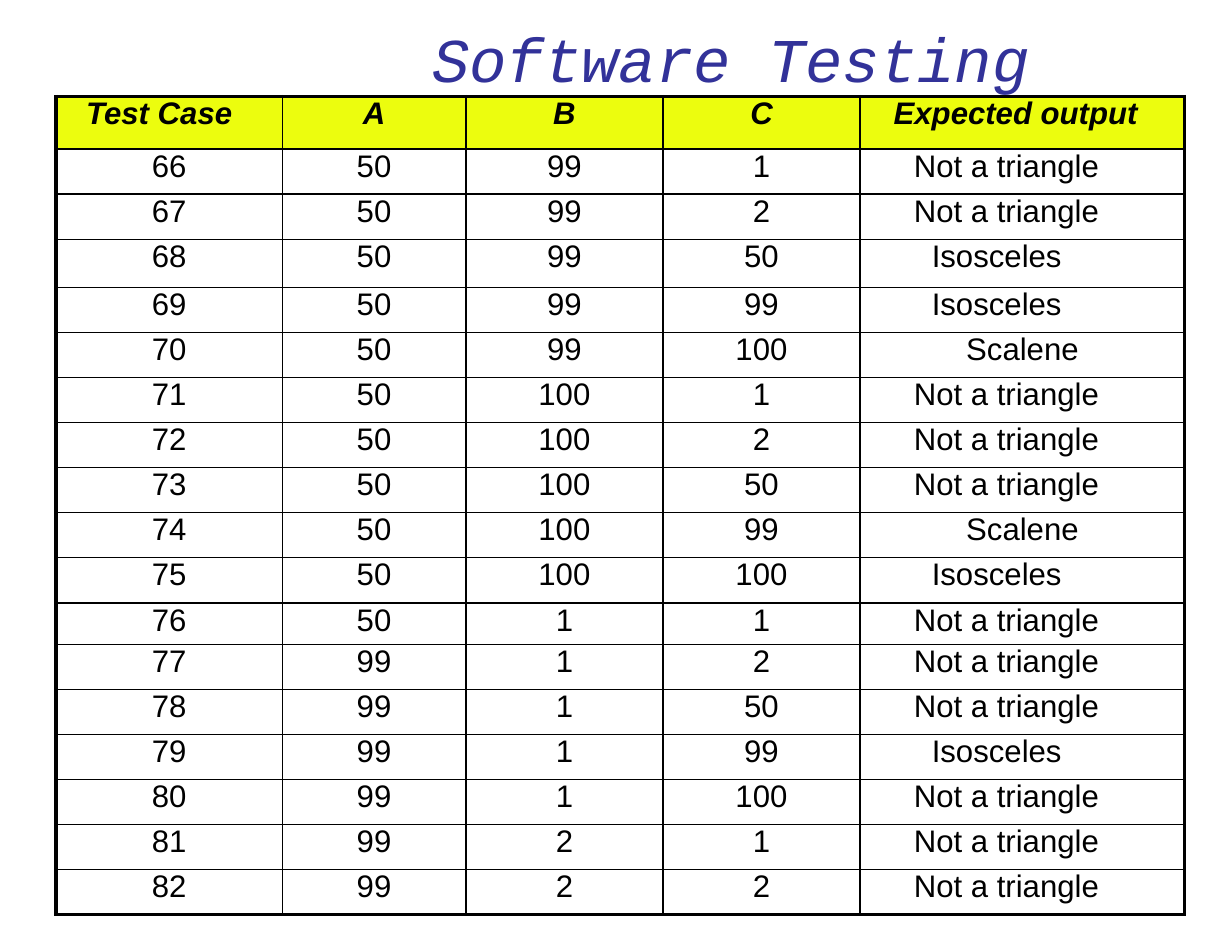
import dataclasses

import lxml.etree
import pptx
import pptx.dml.color
import pptx.enum.text
import pptx.oxml.ns
import pptx.util

ALIGN = pptx.enum.text.PP_ALIGN


@dataclasses.dataclass(frozen=True)
class Theme:
    """Colours, fonts and point sizes of the slide."""
    title_color: str = "323299"
    text_color: str = "000000"
    header_fill: str = "ECFD0E"
    title_font: str = "Courier New"
    table_font: str = "Arial"
    title_size: float = 40
    table_size: float = 20
    frame_line: float = 2.25
    grid_line: float = 1


THEME = Theme()
SLIDE_SIZE = (11, 8.5)
TITLE_BOX = (0.96, -0.05, 9.16, 0.91)
TABLE_BOX = (0.5, 0.86, 10.08, 7.31)
TITLE_INDENT = 2.9
COLUMN_SHARES = (2.02, 1.64, 1.76, 1.76, 2.9)
ROW_SHARES = {0: 1.17, 3: 1.07, 11: 0.92}
INDENTS = {"Test Case": 0.27, "Expected output": 0.3, "Not a triangle": 0.48, "Isosceles": 0.64}

HEADINGS = ("Test Case", "A", "B", "C", "Expected output")
FIRST_CASE = 66
CASES = (
    (50, 99, 1, "Not a triangle"),
    (50, 99, 2, "Not a triangle"),
    (50, 99, 50, "Isosceles"),
    (50, 99, 99, "Isosceles"),
    (50, 99, 100, "Scalene"),
    (50, 100, 1, "Not a triangle"),
    (50, 100, 2, "Not a triangle"),
    (50, 100, 50, "Not a triangle"),
    (50, 100, 99, "Scalene"),
    (50, 100, 100, "Isosceles"),
    (50, 1, 1, "Not a triangle"),
    (99, 1, 2, "Not a triangle"),
    (99, 1, 50, "Not a triangle"),
    (99, 1, 99, "Isosceles"),
    (99, 1, 100, "Not a triangle"),
    (99, 2, 1, "Not a triangle"),
    (99, 2, 2, "Not a triangle"),
)


def rgb(color):
    """Return a colour object for a hex string."""
    return pptx.dml.color.RGBColor.from_string(color)


def style_paragraph(paragraph, font, size, color, bold=False, italic=False, indent=None):
    """Set the font, and align left at the indent or centre without one."""
    paragraph.alignment = ALIGN.CENTER if indent is None else ALIGN.LEFT
    if indent is not None:
        properties = paragraph._p.get_or_add_pPr()
        properties.set("marL", str(pptx.util.Inches(indent)))
        properties.set("indent", "0")
    paragraph.font.name = font
    paragraph.font.size = pptx.util.Pt(size)
    paragraph.font.color.rgb = rgb(color)
    paragraph.font.bold = bold
    paragraph.font.italic = italic


def add_title(slide, box):
    """Place and format the slide title in the box."""
    title = slide.shapes.title
    title.left, title.top, title.width, title.height = map(pptx.util.Inches, box)
    frame = title.text_frame
    frame.text = "Software Testing"
    frame.word_wrap = True
    frame.auto_size = pptx.enum.text.MSO_AUTO_SIZE.NONE
    frame.vertical_anchor = pptx.enum.text.MSO_ANCHOR.TOP
    frame.margin_left = frame.margin_right = frame.margin_bottom = 0
    frame.margin_top = pptx.util.Inches(0.23)
    style_paragraph(frame.paragraphs[0], THEME.title_font, THEME.title_size,
                    THEME.title_color, italic=True, indent=TITLE_INDENT)


def set_borders(cell, on_frame):
    """Draw the four cell edges, heavier where an edge lies on the table frame."""
    properties = cell._tc.get_or_add_tcPr()
    for edge, outer in on_frame.items():
        width = pptx.util.Pt(THEME.frame_line if outer else THEME.grid_line)
        line = lxml.etree.SubElement(properties, pptx.oxml.ns.qn(f"a:ln{edge}"), w=str(width))
        fill = lxml.etree.SubElement(line, pptx.oxml.ns.qn("a:solidFill"))
        lxml.etree.SubElement(fill, pptx.oxml.ns.qn("a:srgbClr"), val=THEME.text_color)


def fill_cell(cell, text, is_header, on_frame):
    """Write and format one table cell."""
    cell.text = text
    cell.margin_left = cell.margin_right = cell.margin_top = cell.margin_bottom = 0
    set_borders(cell, on_frame)
    if is_header:
        cell.fill.solid()
        cell.fill.fore_color.rgb = rgb(THEME.header_fill)
    else:
        cell.fill.background()
    style_paragraph(cell.text_frame.paragraphs[0], THEME.table_font, THEME.table_size,
                    THEME.text_color, is_header, is_header, INDENTS.get(text))


def add_case_table(slide, box):
    """Build the table of test cases within the box."""
    rows = [HEADINGS] + [(number, *case) for number, case in enumerate(CASES, FIRST_CASE)]
    last_row, last_column = len(rows) - 1, len(HEADINGS) - 1
    left, top, width, height = map(pptx.util.Inches, box)
    table = slide.shapes.add_table(len(rows), len(HEADINGS), left, top, width, height).table
    table.horz_banding = False
    table.first_row = False
    for column, share in zip(table.columns, COLUMN_SHARES):
        column.width = int(width * share / sum(COLUMN_SHARES))
    row_shares = [ROW_SHARES.get(index, 1) for index in range(len(rows))]
    for row, share in zip(table.rows, row_shares):
        row.height = int(height * share / sum(row_shares))
    for r, values in enumerate(rows):
        for c, value in enumerate(values):
            on_frame = {"L": c == 0, "R": c == last_column, "T": r == 0, "B": r == last_row}
            fill_cell(table.cell(r, c), str(value), r == 0, on_frame)


def main():
    """Create the slide and save it."""
    deck = pptx.Presentation()
    deck.slide_width, deck.slide_height = map(pptx.util.Inches, SLIDE_SIZE)
    slide = deck.slides.add_slide(deck.slide_layouts.get_by_name("Title Only"))
    add_title(slide, TITLE_BOX)
    add_case_table(slide, TABLE_BOX)
    deck.save("out.pptx")


if __name__ == "__main__":
    main()
